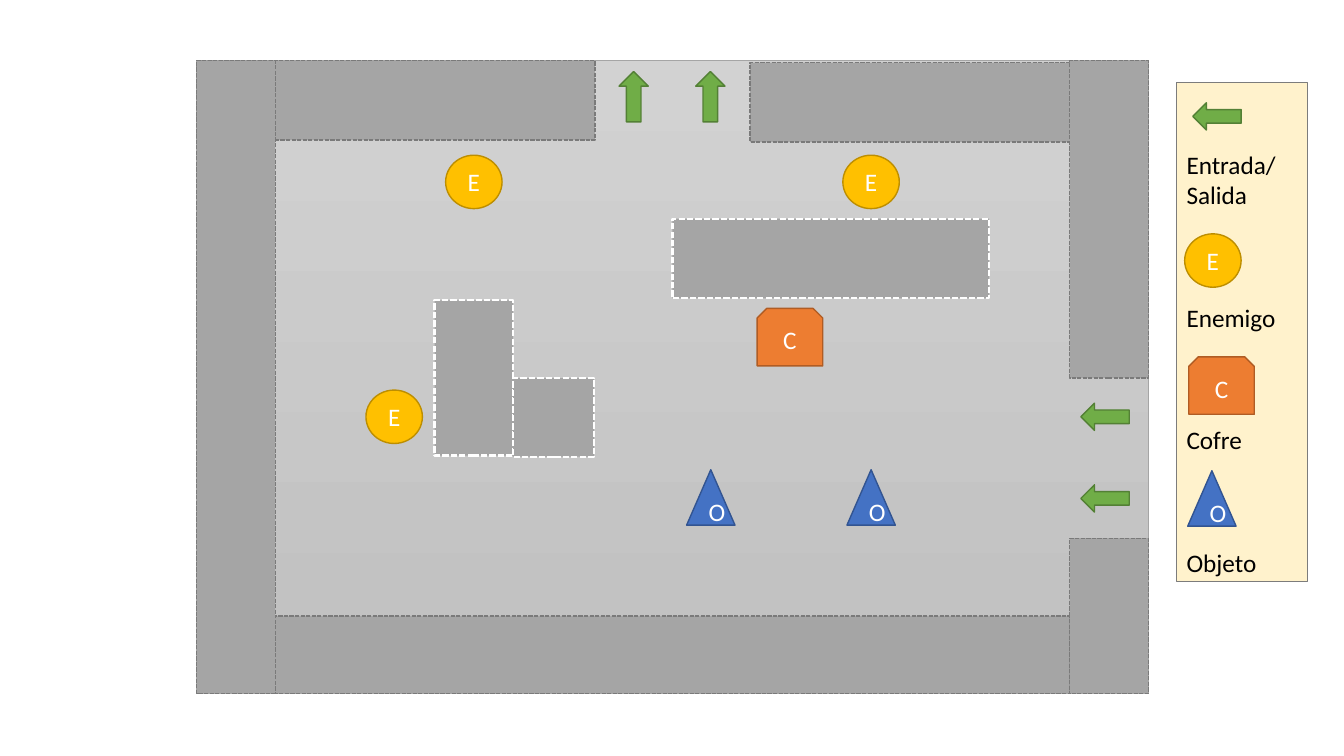
import pptx
import pptx.util
import pptx.dml.color
import pptx.enum.dml
import pptx.enum.shapes
import pptx.enum.text
from dataclasses import dataclass

Inches, Pt = pptx.util.Inches, pptx.util.Pt
MSO_SHAPE = pptx.enum.shapes.MSO_SHAPE
PP_ALIGN = pptx.enum.text.PP_ALIGN
MSO_ANCHOR = pptx.enum.text.MSO_ANCHOR


@dataclass
class Theme:
    font: str = "Calibri"
    size: int = 18
    legend_gap: int = 66
    white: str = "FFFFFF"
    black: str = "000000"
    wall: str = "A5A5A5"
    wall_edge: str = "7A7A7A"
    floor_top: str = "D2D2D2"
    floor_bottom: str = "C0C0C0"
    panel: str = "FFF2CC"
    panel_edge: str = "7C7C7C"
    arrow: tuple = ("70AD47", "538035")
    enemy: tuple = ("FFC000", "BD8E00")
    chest: tuple = ("ED7D31", "AF5C24")
    item: tuple = ("4472C4", "325491")


def rgb(value):
    return pptx.dml.color.RGBColor.from_string(value)


class RoomMap:
    """Draws the parts of a room map on one slide in a shared style."""

    def __init__(self, slide, theme):
        self.s = slide
        self.t = theme
        self.tokens = {
            "exit": (MSO_SHAPE.UP_ARROW, 0.29, 0.5, theme.arrow, ""),
            "entry": (MSO_SHAPE.LEFT_ARROW, 0.48, 0.27, theme.arrow, ""),
            "enemy": (MSO_SHAPE.OVAL, 0.56, 0.53, theme.enemy, "E"),
            "chest": (MSO_SHAPE.SNIP_2_SAME_RECTANGLE, 0.65, 0.57, theme.chest, "C"),
            "item": (MSO_SHAPE.ISOSCELES_TRIANGLE, 0.48, 0.55, theme.item, "O"),
        }

    def shape(self, kind, box, fill, edge, width):
        sp = self.s.shapes.add_shape(kind, *[Inches(v) for v in box])
        sp.shadow.inherit = False
        sp.fill.solid()
        sp.fill.fore_color.rgb = rgb(fill)
        sp.line.color.rgb = rgb(edge)
        sp.line.width = Pt(width)
        return sp

    def run(self, p, text, color):
        r = p.add_run()
        r.text = text
        r.font.name = self.t.font
        r.font.size = Pt(self.t.size)
        r.font.color.rgb = rgb(color)

    def floor(self, box):
        sp = self.shape(MSO_SHAPE.RECTANGLE, box, self.t.floor_top, self.t.wall, 0.5)
        sp.fill.gradient()
        sp.fill.gradient_angle = 270
        for stop, color in zip(sp.fill.gradient_stops, (self.t.floor_top, self.t.floor_bottom)):
            stop.color.rgb = rgb(color)

    def wall(self, box, edge, width):
        sp = self.shape(MSO_SHAPE.RECTANGLE, box, self.t.wall, edge, width)
        sp.line.dash_style = pptx.enum.dml.MSO_LINE.SQUARE_DOT

    def token(self, name, left, top):
        kind, width, height, colors, letter = self.tokens[name]
        sp = self.shape(kind, (left, top, width, height), *colors, 1)
        if letter:
            tf = sp.text_frame
            tf.vertical_anchor = MSO_ANCHOR.MIDDLE
            p = tf.paragraphs[0]
            p.alignment = PP_ALIGN.CENTER
            self.run(p, letter, self.t.white)

    def legend(self, box, labels):
        sp = self.shape(MSO_SHAPE.RECTANGLE, box, self.t.panel, self.t.panel_edge, 0.75)
        tf = sp.text_frame
        tf.word_wrap = True
        tf.vertical_anchor = MSO_ANCHOR.TOP
        tf.margin_top = Inches(0.66)
        for i, label in enumerate(labels):
            p = tf.add_paragraph() if i else tf.paragraphs[0]
            p.alignment = PP_ALIGN.LEFT
            p.space_before = Pt(self.t.legend_gap if i else 0)
            for j, line in enumerate(label):
                if j:
                    p.add_line_break()
                self.run(p, line, self.t.black)


prs = pptx.Presentation()
prs.slide_width, prs.slide_height = Inches(13.33), Inches(7.5)
theme = Theme()
room = RoomMap(prs.slides.add_slide(prs.slide_layouts[6]), theme)

room.floor((1.95, 0.6, 9.44, 6.28))

outer_walls = [
    (1.95, 0.6, 3.95, 0.79),
    (7.44, 0.62, 3.95, 0.79),
    (1.95, 0.6, 0.78, 6.28),
    (10.61, 0.6, 0.78, 3.15),
    (10.61, 5.34, 0.78, 1.54),
    (2.73, 6.11, 7.88, 0.77),
]
inner_walls = [
    (4.31, 2.98, 0.78, 1.54),
    (5.09, 3.75, 0.8, 0.78),
    (6.67, 2.17, 3.14, 0.79),
]
for box in outer_walls:
    room.wall(box, theme.wall_edge, 1)
for box in inner_walls:
    room.wall(box, theme.white, 1.5)

room_tokens = {
    "enemy": [(4.42, 1.54), (8.36, 1.54), (3.63, 3.87)],
    "exit": [(6.14, 0.71), (6.9, 0.71)],
    "entry": [(10.72, 4), (10.72, 4.81)],
    "chest": [(7.51, 3.06)],
    "item": [(8.4, 4.66), (6.81, 4.66)],
}
for name, places in room_tokens.items():
    for left, top in places:
        room.token(name, left, top)

room.legend((11.67, 0.82, 1.3, 4.95),
            [("Entrada/", "Salida"), ("Enemigo",), ("Cofre",), ("Objeto",)])
legend_tokens = [("entry", 11.83, 1.02), ("enemy", 11.75, 2.32),
                 ("chest", 11.79, 3.54), ("item", 11.78, 4.67)]
for name, left, top in legend_tokens:
    room.token(name, left, top)

prs.save("out.pptx")
